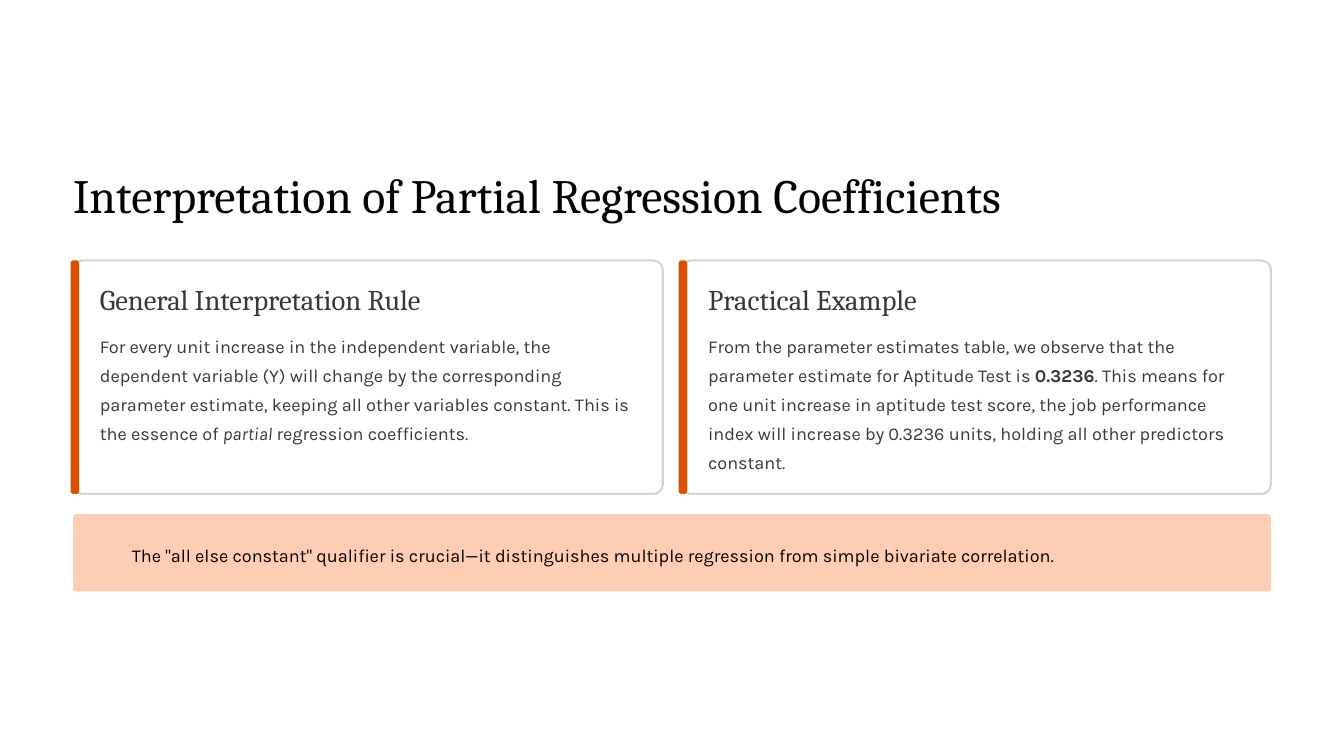
from pptx import Presentation
from pptx.dml.color import RGBColor
from pptx.enum.shapes import MSO_SHAPE
from pptx.enum.text import MSO_ANCHOR, PP_ALIGN
from pptx.util import Pt

SERIF, SANS = "Cambria", "Karla"
WHITE, ORANGE, PEACH = "FFFFFF", "E04F00", "FFCDB3"
BORDER, GREY = "D8D4D4", "383838"
LEFT, CARD_TOP = 62.64, 223.2
CARD_WIDTH, CARD_HEIGHT, CARD_STEP = 505.44, 200.16, 521.28

# Each body is a list of (text, style) runs
CARDS = [
    ("General Interpretation Rule", [
        ("For every unit increase in the independent variable, the dependent "
         "variable (Y) will change by the corresponding parameter estimate, "
         "keeping all other variables constant. This is the essence of ", ""),
        ("partial", "italic"),
        (" regression coefficients.", ""),
    ]),
    ("Practical Example", [
        ("From the parameter estimates table, we observe that the parameter "
         "estimate for Aptitude Test is ", ""),
        ("0.3236", "bold"),
        (". This means for one unit increase in aptitude test score, the job "
         "performance index will increase by 0.3236 units, holding all other "
         "predictors constant.", ""),
    ]),
]
CALLOUT = ('The "all else constant" qualifier is crucial—it distinguishes '
           "multiple regression from simple bivariate correlation.")


def rgb(value):
    return RGBColor.from_string(value)


def write_text(holder, runs, font, size, color, spacing, wrap=False):
    frame = holder.text_frame
    frame.margin_left = frame.margin_right = 0
    frame.margin_top = frame.margin_bottom = 0
    frame.word_wrap = wrap
    frame.vertical_anchor = MSO_ANCHOR.TOP
    paragraph = frame.paragraphs[0]
    paragraph.alignment = PP_ALIGN.LEFT
    paragraph.line_spacing = Pt(spacing)
    for text, style in runs:
        run = paragraph.add_run()
        run.text = text
        run.font.name = font
        run.font.size = Pt(size)
        run.font.color.rgb = rgb(color)
        run.font.bold = style == "bold"
        run.font.italic = style == "italic"


def add_text(slide, left, top, width, height, runs, *style, wrap=False):
    box = slide.shapes.add_textbox(Pt(left), Pt(top), Pt(width), Pt(height))
    write_text(box, runs, *style, wrap=wrap)


def add_panel(slide, left, top, width, height, rounding, fill, border=None):
    panel = slide.shapes.add_shape(MSO_SHAPE.ROUNDED_RECTANGLE, Pt(left),
                                   Pt(top), Pt(width), Pt(height))
    panel.adjustments[0] = rounding
    panel.shadow.inherit = False
    panel.fill.solid()
    panel.fill.fore_color.rgb = rgb(fill)
    if border:
        panel.line.color.rgb = rgb(border)
        panel.line.width = Pt(1.8)
    else:
        panel.line.fill.background()


def add_card(slide, left, heading, body):
    add_panel(slide, left, CARD_TOP, CARD_WIDTH, CARD_HEIGHT, 0.04, WHITE, BORDER)
    # Accent bar over the left edge
    add_panel(slide, left - 2.16, CARD_TOP, 7.2, CARD_HEIGHT, 0.33, ORANGE)
    text_left = left + 23.04
    add_text(slide, text_left, 240.48, 303, 31, [(heading, "")],
             SERIF, 24.5, GREY, 30.5)
    add_text(slide, text_left, 280.8, 465.12, 125, body,
             SANS, 15.5, GREY, 25, wrap=True)


def add_title(slide, text):
    title = slide.shapes.title
    title.left, title.top = Pt(LEFT), Pt(140.4)
    title.width, title.height = Pt(876.24), Pt(51.12)
    write_text(title, [(text, "")], SERIF, 41, "020202", 51)


def main():
    deck = Presentation()
    deck.slide_width, deck.slide_height = Pt(1152), Pt(648)
    slide = deck.slides.add_slide(deck.slide_layouts[5])
    slide.background.fill.solid()
    slide.background.fill.fore_color.rgb = rgb(WHITE)

    add_title(slide, "Interpretation of Partial Regression Coefficients")

    # Two cards side by side
    for column, (heading, body) in enumerate(CARDS):
        add_card(slide, LEFT + column * CARD_STEP, heading, body)

    # Callout across both cards
    add_panel(slide, LEFT, 440.64, CARD_STEP + CARD_WIDTH, 66.24, 0.04, PEACH)
    add_text(slide, 113.04, 460.08, 960.48, 25.2, [(CALLOUT, "")],
             SANS, 15.5, "000000", 25)

    deck.save("out.pptx")


if __name__ == "__main__":
    main()
